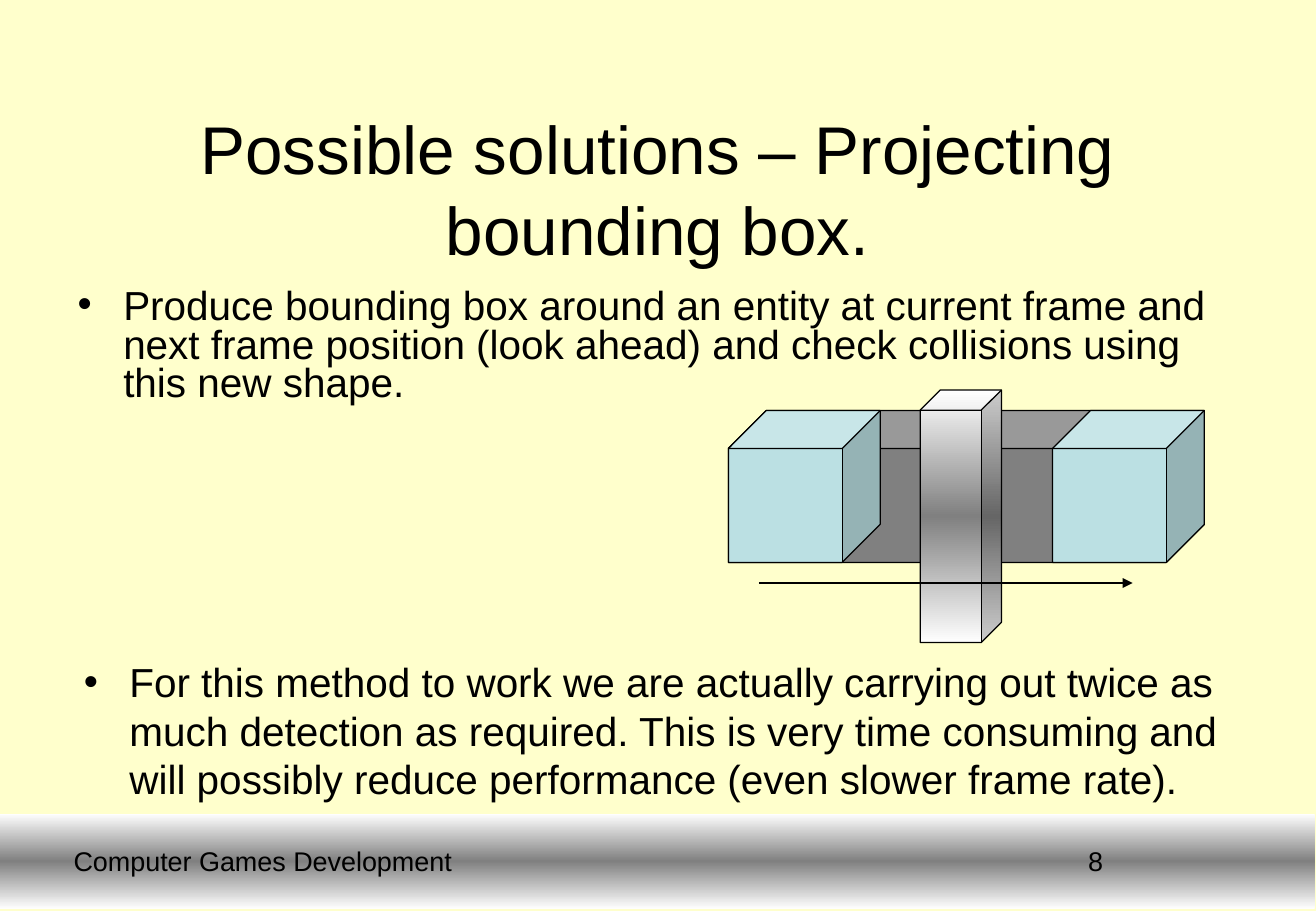
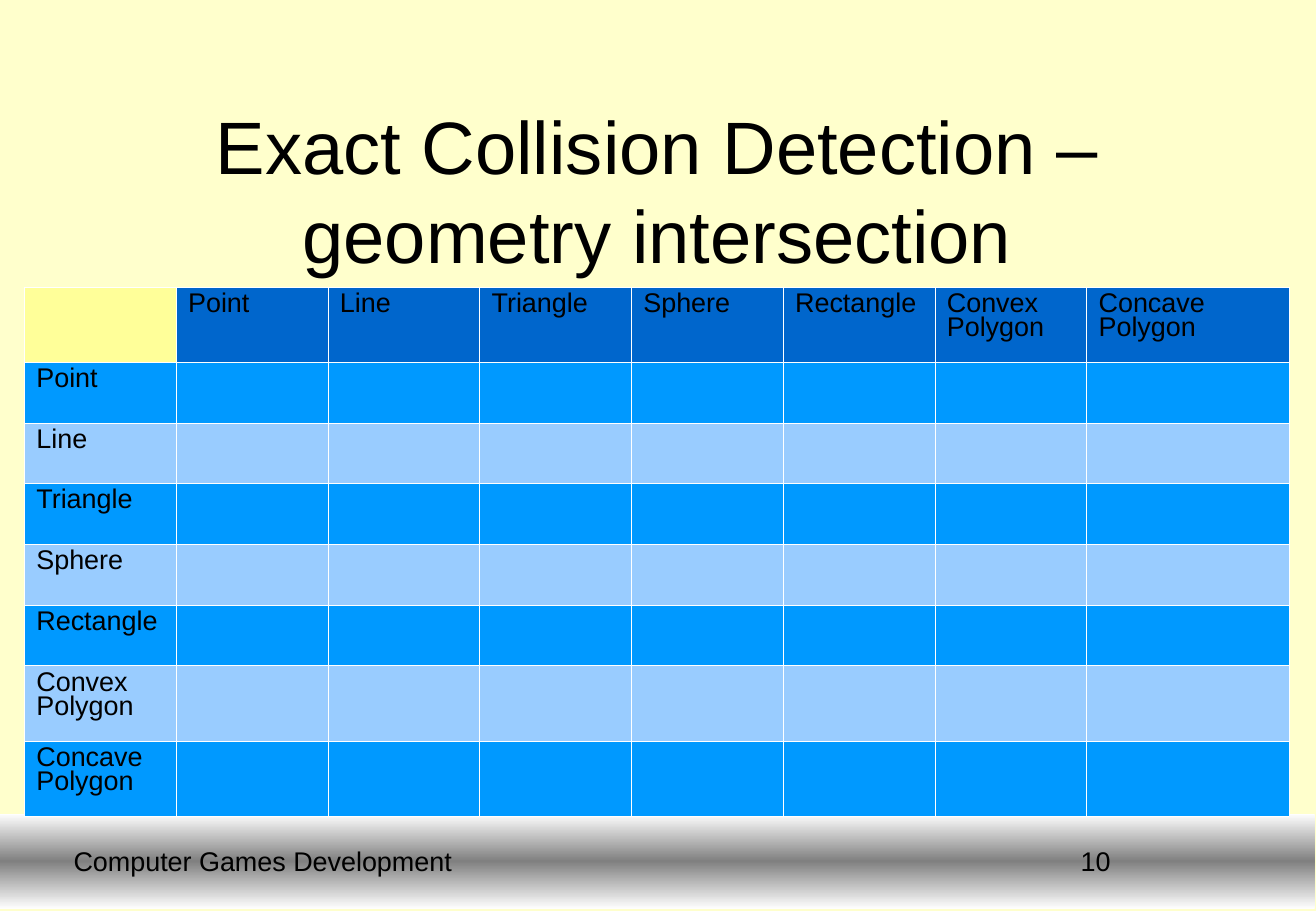
from copy import deepcopy

from pptx import Presentation
from pptx.dml.color import RGBColor as Rgb
from pptx.enum.shapes import MSO_CONNECTOR as Link, MSO_SHAPE as Form
from pptx.enum.text import MSO_ANCHOR as Anchor, MSO_AUTO_SIZE as Fit, PP_ALIGN as Align
from pptx.oxml import parse_xml
from pptx.oxml.ns import nsdecls, qn
from pptx.util import Pt

PX = 9144
WIDE, HIGH = 1084, 750
FONT = "Arial"
HEX = {
    "page": "FFFFCC", "ink": "000000", "white": "FFFFFF", "gray": "808080",
    "edge": "FEFEFE", "box": "BBE0E3", "corner": "FFFF99",
    "head": "0066CC", "odd": "0099FF", "even": "99CCFF",
}
BAND = ("edge", "gray", "edge")
METAL = ("white", "gray", "white")
MID = {"alignment": Align.CENTER}


def px(*nums):
    return [num * PX for num in nums]


def tint(name):
    return Rgb.from_string(HEX[name])


def assign(item, vals):
    for key, val in vals.items():
        setattr(item, key, val)


class Deck:
    def __init__(self):
        self.prs = Presentation()
        self.prs.slide_width, self.prs.slide_height = px(WIDE, HIGH)
        self.paint(self.prs.slide_master.background.fill, "page")
        self.slide = None

    def paint(self, fill, name):
        fill.solid()
        fill.fore_color.rgb = tint(name)

    def blend(self, shape, names):
        fill = shape.fill
        fill.gradient()
        fill.gradient_angle = 90
        stops = shape._element.spPr.find(".//" + qn("a:gsLst"))
        stops.insert(1, deepcopy(stops[0]))
        for stop, name, pos in zip(fill.gradient_stops, names, (0, 0.5, 1)):
            stop.color.rgb = tint(name)
            stop.position = pos

    def words(self, frame, text, size, para):
        frame.text = text
        first = frame.paragraphs[0]
        assign(first, {"space_before": Pt(0), **para})
        assign(first.font, {"name": FONT, "size": Pt(size), "bold": False})
        first.font.color.rgb = tint("ink")

    def place(self, shape, box, text, size, para, anchor=Anchor.MIDDLE):
        assign(shape, dict(zip(("left", "top", "width", "height"), px(*box))))
        assign(shape.text_frame, {
            "word_wrap": True, "auto_size": Fit.NONE, "vertical_anchor": anchor,
        })
        self.words(shape.text_frame, text, size, para)

    def start(self, layout, title, box, size, number):
        self.slide = self.prs.slides.add_slide(self.prs.slide_layouts.get_by_name(layout))
        self.place(self.slide.shapes.title, box, title, size, MID)
        self.shape(Form.RECTANGLE, (0, 670, 1083, 78), BAND, False)
        self.label((776, 683, 253, 52), number)
        self.label((45, 683, 343, 52), "Computer Games Development")

    def label(self, box, text):
        self.place(self.slide.shapes.add_textbox(*px(*box)), box, text, 16, MID)

    def bullet(self, slot, box, text, space):
        para = {"alignment": Align.LEFT, "line_spacing": space}
        self.place(self.slide.placeholders[slot], box, text, 24, para, Anchor.TOP)

    def shape(self, form, box, fill, edge=True):
        shape = self.slide.shapes.add_shape(form, *px(*box))
        shape.shadow.inherit = False
        if isinstance(fill, tuple):
            self.blend(shape, fill)
        else:
            self.paint(shape.fill, fill)
        if edge:
            self.stroke(shape.line)
        else:
            shape.line.fill.background()

    def stroke(self, line):
        self.paint(line.fill, "ink")
        line.width = Pt(0.75)

    def arrow(self, *ends):
        arrow = self.slide.shapes.add_connector(Link.STRAIGHT, *px(*ends))
        self.stroke(arrow.line)
        props = arrow._element.spPr
        props.find(qn("a:ln")).append(
            parse_xml(f'<a:tailEnd {nsdecls("a")} type="triangle"/>'))
        props.append(parse_xml(f'<a:effectLst {nsdecls("a")}/>'))

    def cell(self, cell, text, name):
        self.paint(cell.fill, name)
        if text:
            self.words(cell.text_frame, text, 16, {"line_spacing": 0.81})
        props = cell._tc.get_or_add_tcPr()
        for spot, side in enumerate("LRTB"):
            props.insert(spot, parse_xml(
                f'<a:ln{side} {nsdecls("a")} w="762"><a:solidFill>'
                f'<a:srgbClr val="{HEX["white"]}"/></a:solidFill></a:ln{side}>'))

    def grid(self, left, top, cols, rows, names):
        box = px(left, top, sum(cols), sum(rows))
        table = self.slide.shapes.add_table(len(rows), len(cols), *box).table
        assign(table, {"first_row": False, "horz_banding": False})
        for col, wide in zip(table.columns, px(*cols)):
            col.width = wide
        for row, high in zip(table.rows, px(*rows)):
            row.height = high
        heads = ["", *names]
        for i in range(len(rows)):
            for j in range(len(cols)):
                if i:
                    name = "odd" if i % 2 else "even"
                else:
                    name = "head" if j else "corner"
                text = heads[i + j] if 0 in (i, j) else ""
                self.cell(table.cell(i, j), text, name)


def main():
    deck = Deck()

    deck.start("Two Content", "Possible solutions – Projecting bounding box.",
               (54, 83, 975, 144), 40, "8")
    deck.bullet(1, (54, 233, 975, 110),
                "Produce bounding box around an entity at current frame and next frame "
                "position (look ahead) and check collisions using this new shape.", 0.8)
    deck.bullet(2, (59, 536, 975, 110),
                "For this method to work we are actually carrying out twice as much "
                "detection as required. This is very time consuming and will possibly "
                "reduce performance (even slower frame rate).", 1.0)
    deck.shape(Form.CUBE, (600, 338, 392, 125), "gray")
    deck.shape(Form.CUBE, (758, 321, 67, 208), METAL)
    deck.arrow(625, 480, 933, 480)
    for left in (600, 867):
        deck.shape(Form.CUBE, (left, 338, 125, 125), "box")

    deck.start("Title Only", "Exact Collision Detection – geometry intersection",
               (54, 77, 975, 157), 44, "10")
    deck.grid(20, 236, [125] * 7 + [167], [62] + [50] * 5 + [62] * 2,
              ["Point", "Line", "Triangle", "Sphere", "Rectangle",
               "Convex Polygon", "Concave Polygon"])

    deck.prs.save("out.pptx")


if __name__ == "__main__":
    main()
